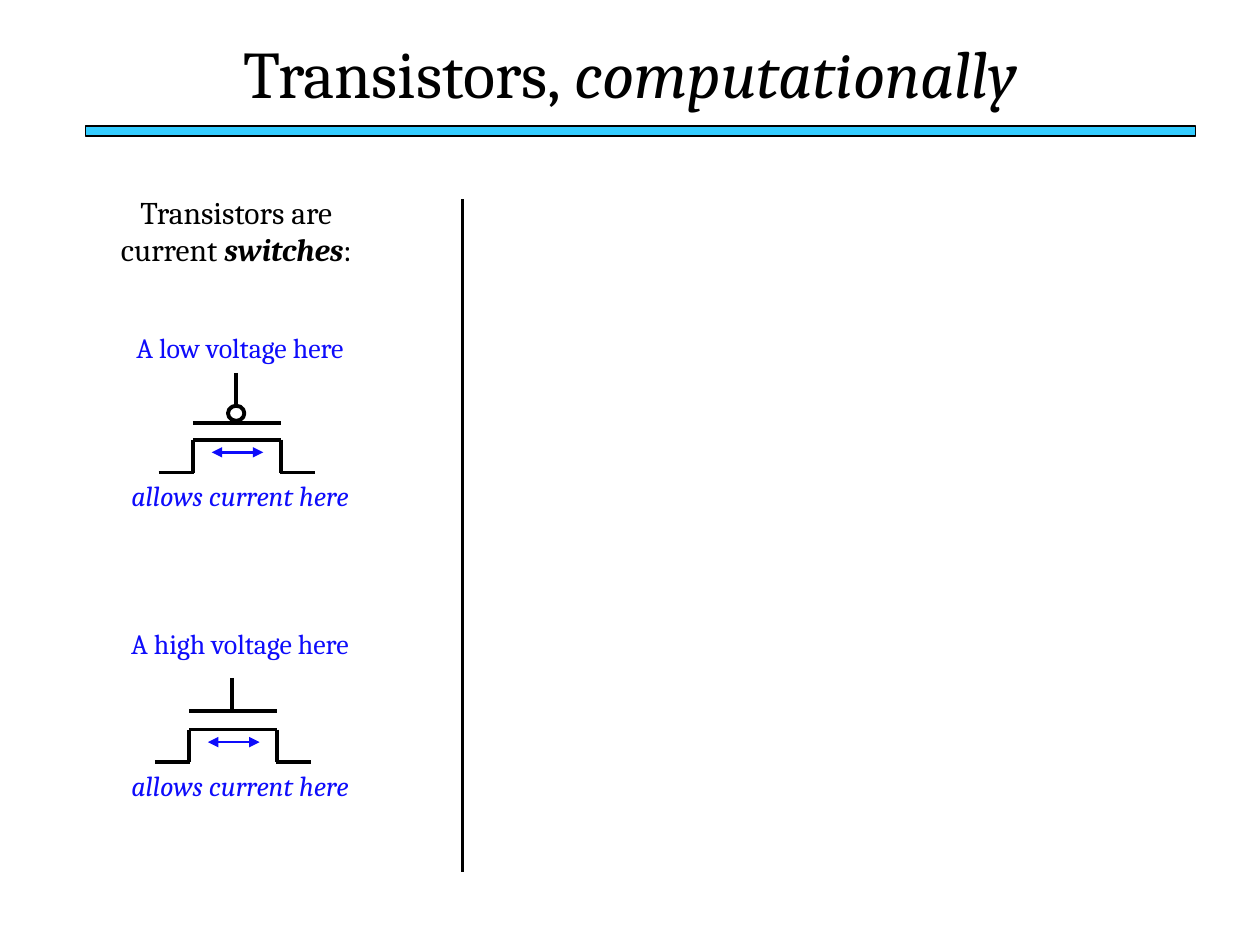
from lxml.etree import SubElement
from pptx import Presentation
from pptx.dml.color import RGBColor
from pptx.enum.shapes import MSO_CONNECTOR as Connector, MSO_SHAPE as Shape
from pptx.enum.text import MSO_ANCHOR as Anchor, MSO_AUTO_SIZE as AutoSize, PP_ALIGN as Align
from pptx.oxml.ns import qn
from pptx.util import Inches, Pt

BLACK = RGBColor(0x00, 0x00, 0x00)
BLUE = RGBColor(0x0E, 0x0C, 0xFB)
CYAN = RGBColor(0x33, 0xCC, 0xFF)
FONT = "Cambria"


def place(shape, left, top, width, height):
    shape.left, shape.top = Inches(left), Inches(top)
    shape.width, shape.height = Inches(width), Inches(height)


def write(shape, spans, size, color, anchor, wrap=True):
    frame = shape.text_frame
    frame.word_wrap = wrap
    frame.auto_size = AutoSize.NONE
    frame.vertical_anchor = anchor
    para = frame.paragraphs[0]
    para.alignment = Align.CENTER
    para.space_before = Pt(0)
    for text, bold, italic in spans:
        span = para.add_run()
        span.text = text
        font = span.font
        font.name, font.size = FONT, Pt(size)
        font.bold, font.italic = bold, italic
        font.color.rgb = color


def add_text(page, box, spans, size, color, anchor=Anchor.TOP, wrap=True):
    shape = page.shapes.add_textbox(*map(Inches, box))
    write(shape, spans, size, color, anchor, wrap)


def add_line(page, start, end, width, color=BLACK, arrows=False):
    line = page.shapes.add_connector(Connector.STRAIGHT, *map(Inches, start + end))
    line.line.width = Pt(width)
    line.line.color.rgb = color
    if arrows:
        outline = line.line._get_or_add_ln()
        for tag in ("a:headEnd", "a:tailEnd"):
            SubElement(outline, qn(tag), type="triangle")
    SubElement(line._element.spPr, qn("a:effectLst"))


def add_shape(page, kind, box, fill, width):
    shape = page.shapes.add_shape(kind, *map(Inches, box))
    shape.shadow.inherit = False
    if fill is None:
        shape.fill.background()
    else:
        shape.fill.solid()
        shape.fill.fore_color.rgb = fill
    shape.line.color.rgb = BLACK
    shape.line.width = Pt(width)


def build_header(page, left, top, width):
    title = page.shapes.title
    place(title, left + 0.41, top, width - 0.98, 0.73)
    write(title, [("Transistors, ", False, False), ("computationally", False, True)],
          38, BLACK, Anchor.TOP)
    add_shape(page, Shape.RECTANGLE, (left, top + 0.8, width, 0.08), CYAN, 0.75)


def build_transistor(page, left, top, plate_gap, bubble):
    source, drain = left + 0.27, left + 0.97
    gate = left + 0.61
    plate, bottom = top - plate_gap, top + 0.26
    stem_end = plate - 0.14 if bubble else plate
    segments = [
        ((source, top), (drain, top)),
        ((source, top), (source, bottom)),
        ((left, bottom), (source + 0.01, bottom)),
        ((drain, top), (drain, bottom)),
        ((drain - 0.01, bottom), (left + 1.24, bottom)),
        ((source, plate), (drain, plate)),
        ((gate, stem_end - 0.26), (gate, stem_end)),
    ]
    for start, end in segments:
        add_line(page, start, end, 2.25)
    if bubble:
        add_shape(page, Shape.OVAL, (gate - 0.06, stem_end, 0.13, 0.12), None, 2.25)
    current = top + 0.1
    add_line(page, (left + 0.42, current), (left + 0.83, current), 1.5, BLUE, True)


def build_switch(page, left, top, level, channel, plate_gap, bubble):
    label_left, label_width, label_height = 0.93, 1.95, 0.37
    labels = [(top, f"A {level} voltage here", False),
              (channel + 0.26, "allows current here", True)]
    build_transistor(page, left, channel, plate_gap, bubble)
    for label_top, text, italic in labels:
        add_text(page, (label_left, label_top, label_width, label_height),
                 [(text, False, italic)], 16, BLUE, Anchor.MIDDLE, False)


def build_switch_column(page, left, top):
    add_text(page, (left, top, 2.17, 0.7),
             [("Transistors are current", False, False), (" switches", True, True),
              (":", False, False)], 18, BLACK)
    build_switch(page, left + 0.47, top + 1.09, "low", top + 2.01, 0.13, True)
    build_switch(page, left + 0.44, top + 3.44, "high", top + 4.31, 0.15, False)
    divider = left + 2.88
    add_line(page, (divider, top + 0.1), (divider, top + 5.44), 1.5)


def main():
    deck = Presentation()
    deck.slide_width, deck.slide_height = Inches(10), Inches(7.5)
    page = deck.slides.add_slide(deck.slide_layouts[5])
    build_header(page, 0.68, 0.2, 8.81)
    build_switch_column(page, 0.79, 1.48)
    deck.save("out.pptx")


if __name__ == "__main__":
    main()
